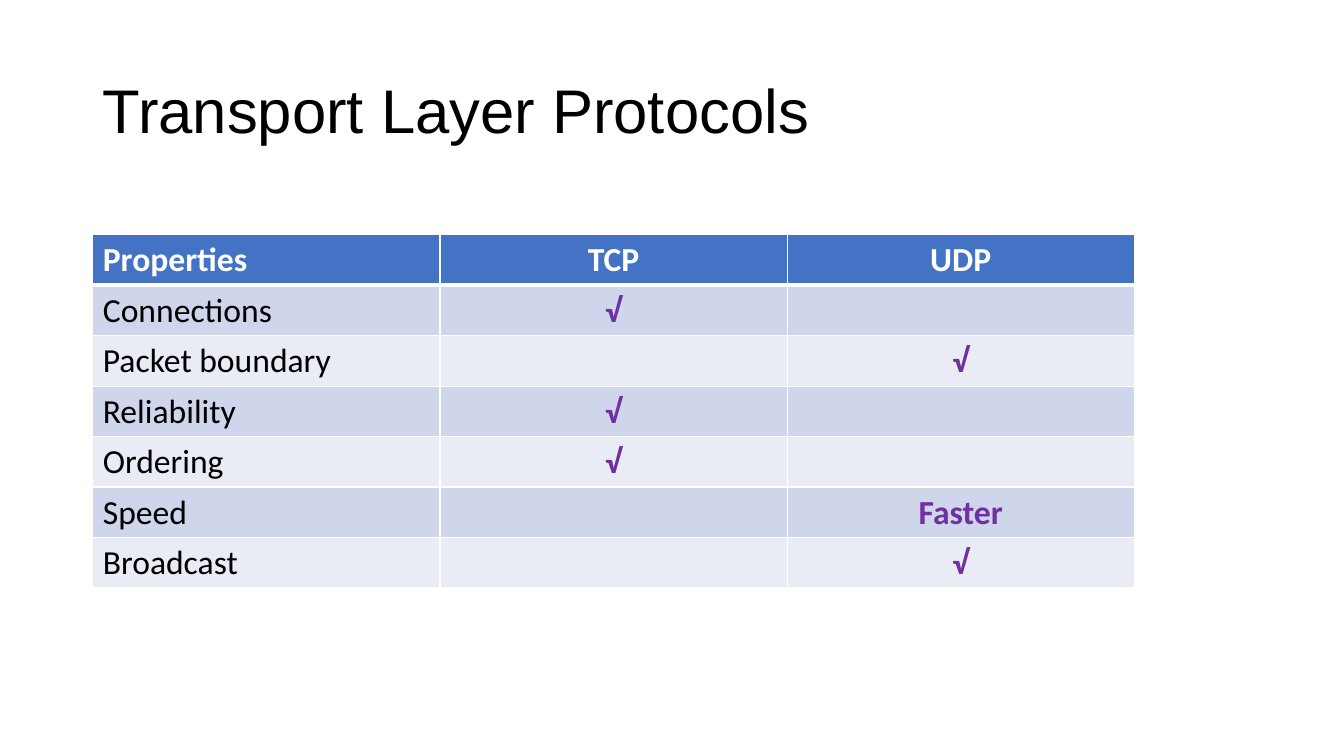
from lxml import etree
from pptx import Presentation
from pptx.dml.color import RGBColor
from pptx.enum.text import MSO_ANCHOR, PP_ALIGN
from pptx.oxml.ns import qn
from pptx.util import Inches, Pt

LEFT, CENTER = PP_ALIGN.LEFT, PP_ALIGN.CENTER
MIDDLE = MSO_ANCHOR.MIDDLE

SLIDE_WIDTH, SLIDE_HEIGHT = 13.33, 7.5
MARGIN = 0.92
WHITE, BLACK, PURPLE = "FFFFFF", "000000", "7030A0"
HEADER_FILL = "4472C4"
BAND_FILLS = ["CFD5EA", "E9EBF5"]
THIN, THICK = 1, 3

PROTOCOL_ROWS = [
    ["Properties", "TCP", "UDP"],
    ["Connections", "√", ""],
    ["Packet boundary", "", "√"],
    ["Reliability", "√", ""],
    ["Ordering", "√", ""],
    ["Speed", "", "Faster"],
    ["Broadcast", "", "√"],
]


def color(hex_code):
    """Turn a hex string into a colour."""
    return RGBColor.from_string(hex_code)


def write(frame, text, *, size, font, ink, bold=False, align=LEFT, spacing=1.0):
    """Write one formatted paragraph into a text frame."""
    paragraph = frame.paragraphs[0]
    paragraph.alignment = align
    paragraph.line_spacing = spacing
    run = paragraph.add_run()
    run.text = text
    run.font.size = Pt(size)
    run.font.name = font
    run.font.bold = bold
    run.font.color.rgb = color(ink)


def set_borders(cell, top, bottom):
    """Draw white cell borders with the given top and bottom widths."""
    properties = cell._tc.get_or_add_tcPr()
    for side, width in (("L", THIN), ("R", THIN), ("T", top), ("B", bottom)):
        line = etree.SubElement(properties, qn(f"a:ln{side}"), w=str(Pt(width)))
        fill = etree.SubElement(line, qn("a:solidFill"))
        etree.SubElement(fill, qn("a:srgbClr"), val=WHITE)


def add_title(slide, text, left, top, width, height):
    """Place the slide title in its box."""
    title = slide.shapes.add_textbox(*map(Inches, (left, top, width, height)))
    frame = title.text_frame
    frame.word_wrap = True
    frame.vertical_anchor = MIDDLE
    write(frame, text, size=44, font="Arial", ink=BLACK, spacing=0.9)


def add_protocol_table(slide, rows, left, top, width, height):
    """Fill a box with the banded comparison table."""
    box = map(Inches, (left, top, width, height))
    table = slide.shapes.add_table(len(rows), len(rows[0]), *box).table
    for r, row in enumerate(rows):
        is_header = r == 0
        fill = HEADER_FILL if is_header else BAND_FILLS[(r - 1) % 2]
        for c, text in enumerate(row):
            cell = table.cell(r, c)
            set_borders(cell, THICK if r == 1 else THIN, THICK if is_header else THIN)
            cell.fill.solid()
            cell.fill.fore_color.rgb = color(fill)
            if text:
                is_label = c == 0
                ink = WHITE if is_header else BLACK if is_label else PURPLE
                write(cell.text_frame, text, size=24, font="Calibri", ink=ink,
                      bold=is_header or not is_label,
                      align=LEFT if is_label else CENTER)


def main():
    """Build and save the slide."""
    deck = Presentation()
    deck.slide_width, deck.slide_height = Inches(SLIDE_WIDTH), Inches(SLIDE_HEIGHT)
    slide = deck.slides.add_slide(deck.slide_layouts[6])
    add_title(slide, "Transport Layer Protocols",
              MARGIN, 0.4, SLIDE_WIDTH - 2 * MARGIN, 1.45)
    add_protocol_table(slide, PROTOCOL_ROWS, MARGIN, 2.33, 10.33, 3.5)
    deck.save("out.pptx")


if __name__ == "__main__":
    main()
